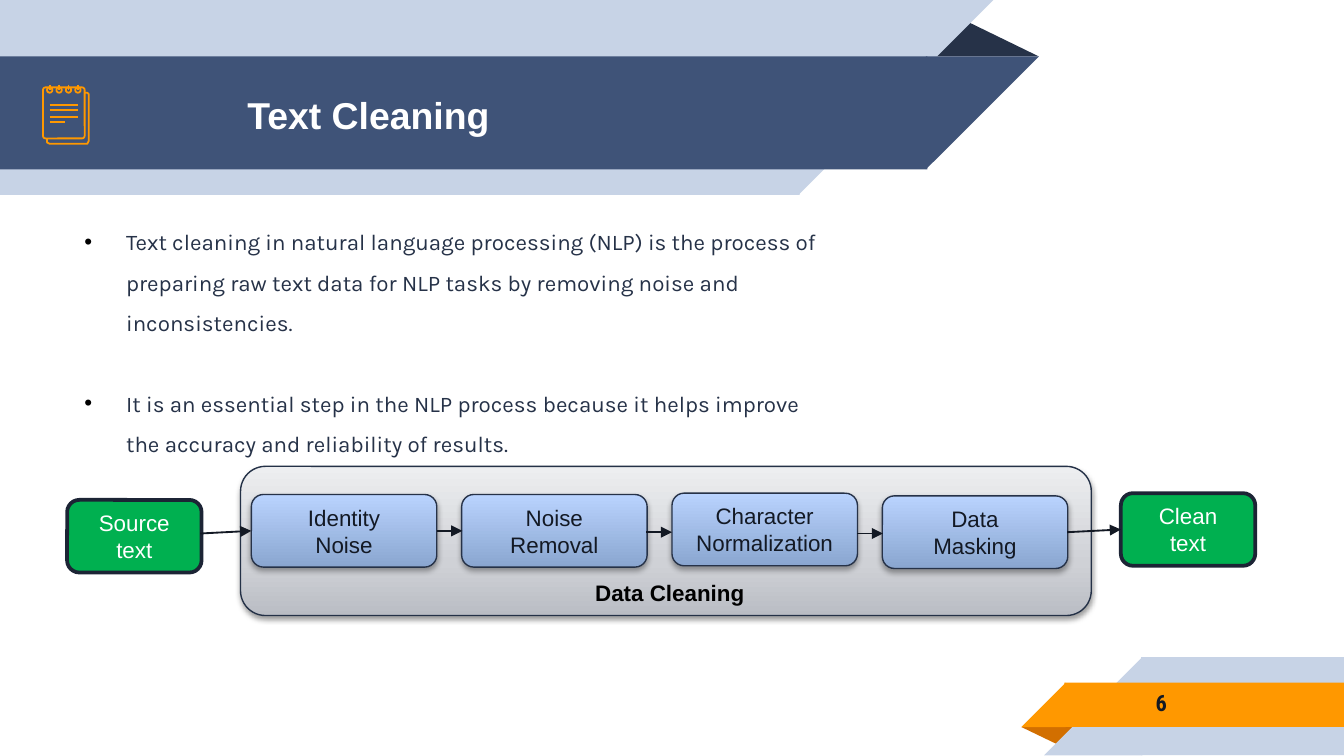
from dataclasses import dataclass

from lxml.etree import SubElement
from pptx import Presentation
from pptx.dml.color import RGBColor
from pptx.enum.shapes import MSO_CONNECTOR as Connector, MSO_SHAPE as Shape
from pptx.enum.text import MSO_ANCHOR as Anchor, PP_ALIGN as Align
from pptx.oxml.ns import qn
from pptx.util import Inches, Pt


@dataclass(frozen=True)
class Theme:
    navy: str = "3F5378"
    ink: str = "263248"
    dark: str = "131924"
    pale: str = "C7D3E6"
    orange: str = "FF9800"
    rust: str = "D26F00"
    green: str = "00B050"
    green_edge: str = "1C2435"
    panel_edge: str = "243147"
    white: str = "FFFFFF"
    black: str = "000000"
    panel_stops: tuple = ((0, "BABDC4"), (35, "CFD1D6"), (100, "EDEEF0"))
    step_stops: tuple = ((0, "8AA6D0"), (100, "B9D3FE"))
    title_size: int = 20
    text_size: int = 12
    icon_line: float = 0.96
    font: str = "Arial"
    body_font: str = "Karla"
    number_font: str = "Roboto Condensed"


THEME = Theme()
SEAM = 0.01


def rgb(color):
    return RGBColor.from_string(color)


def write(shape, lines, *, color, size=THEME.text_size, font=THEME.font, bold=False,
          align=Align.LEFT, anchor=Anchor.TOP, left_inset=0.1, wrap=True):
    """Fill a shape with one paragraph per line and return the paragraphs."""
    frame = shape.text_frame
    frame.word_wrap = wrap
    frame.vertical_anchor = anchor
    frame.margin_left = Inches(left_inset)
    for index, line in enumerate(lines):
        para = frame.add_paragraph() if index else frame.paragraphs[0]
        para.alignment = align
        span = para.add_run()
        span.text = line
        span.font.name, span.font.size, span.font.bold = font, Pt(size), bold
        span.font.color.rgb = rgb(color)
    return frame.paragraphs


def add_text(page, at, lines, **style):
    box = page.shapes.add_textbox(*map(Inches, at))
    return write(box, lines, **style)


def set_line(shape, color, width):
    shape.line.color.rgb = rgb(color)
    shape.line.width = Pt(width)


def add_shape(page, kind, at, fill=None, line=None, width=0.75):
    shape = page.shapes.add_shape(kind, *map(Inches, at))
    shape.shadow.inherit = False
    if fill:
        shape.fill.solid()
        shape.fill.fore_color.rgb = rgb(fill)
    else:
        shape.fill.background()
    if line:
        set_line(shape, line, width)
    else:
        shape.line.fill.background()
    return shape


def add_raised_box(page, at, stops, line, opacity, distance):
    """Rounded box with an upward gradient and a soft shadow below."""
    box = add_shape(page, Shape.ROUNDED_RECTANGLE, at, line=line)
    box.fill.gradient()
    box.fill.gradient_angle = 90
    properties = box._element.spPr
    stop_list = properties.find(qn("a:gradFill")).find(qn("a:gsLst"))
    for old in list(stop_list):
        stop_list.remove(old)
    for position, color in stops:
        stop = SubElement(stop_list, qn("a:gs"), pos=str(position * 1000))
        SubElement(stop, qn("a:srgbClr"), val=color)
    shadow = SubElement(properties.find(qn("a:effectLst")), qn("a:outerShdw"),
                        blurRad=str(Pt(3.1)), dist=str(Pt(distance)),
                        dir="5400000", rotWithShape="0")
    color = SubElement(shadow, qn("a:srgbClr"), val=THEME.black)
    SubElement(color, qn("a:alpha"), val=str(opacity * 1000))
    return box


def add_line(page, start, end, color, width, arrow=False):
    line = page.shapes.add_connector(Connector.STRAIGHT, *map(Inches, start + end))
    set_line(line, color, width)
    if arrow:
        SubElement(line.line._get_or_add_ln(), qn("a:tailEnd"), type="triangle")
    SubElement(line._element.spPr, qn("a:effectLst"))


def add_band(page, left, top, width, height, color, header):
    """Band with a slanted end: at the right in the header, at the left in the footer."""
    bar_left, slant_left = (left, left + width) if header else (left + height - SEAM, left)
    add_shape(page, Shape.RECTANGLE, (bar_left, top, width + SEAM, height), color)
    slant = add_shape(page, Shape.RIGHT_TRIANGLE, (slant_left, top, height, height), color)
    slant._element.spPr.xfrm.set("flipH", "1")
    if header:
        slant.rotation = 180


def add_fold(page, at, color, rotation=0):
    fold = add_shape(page, Shape.ISOSCELES_TRIANGLE, at, color)
    fold.adjustments[0] = 0.324
    fold.rotation = rotation


def add_ribbons(page):
    add_fold(page, (6.88, 0.14, 0.85, 0.28), THEME.ink)
    add_band(page, 0, 0, 5.94, 1.45, THEME.pale, header=True)
    add_band(page, 0, 0.42, 6.89, 0.84, THEME.navy, header=True)
    add_fold(page, (7.6, 5.41, 0.43, 0.14), THEME.rust, rotation=180)
    add_band(page, 7.77, 4.89, 1.5, 0.73, THEME.pale, header=False)
    add_band(page, 7.6, 5.08, 2.07, 0.33, THEME.orange, header=False)


def add_notepad(page):
    pen = (THEME.orange, THEME.icon_line)
    corners = [(0.35, 1.03), (0.35, 1.06), (0.37, 1.07), (0.65, 1.07),
               (0.66, 1.05), (0.66, 0.7), (0.65, 0.69), (0.63, 0.69)]
    points = [(Inches(x), Inches(y)) for x, y in corners]
    builder = page.shapes.build_freeform(*points[0])
    builder.add_line_segments(points[1:], close=False)
    back = builder.convert_to_shape()
    back.shadow.inherit = False
    back.fill.background()
    set_line(back, *pen)
    front = add_shape(page, Shape.ROUNDED_RECTANGLE, (0.32, 0.65, 0.31, 0.38), None, *pen)
    front.adjustments[0] = 0.06
    for index in range(4):
        x = 0.37 + 0.07 * index
        add_shape(page, Shape.OVAL, (x - 0.02, 0.65, 0.04, 0.04), None, *pen)
        add_line(page, (x, 0.63), (x, 0.67), *pen)
    for y, right in ((0.78, 0.58), (0.82, 0.58), (0.87, 0.58), (0.91, 0.48)):
        add_line(page, (0.37, y), (right, y), *pen)


def add_bullets(page, at, lines):
    for index, para in enumerate(add_text(page, at, lines, color=THEME.ink,
                                          font=THEME.body_font)):
        para.line_spacing = 1.5
        para.space_before = Pt(21.6 if index else 0)
        properties = para._p.get_or_add_pPr()
        properties.set("marL", str(Inches(0.31)))
        properties.set("indent", str(-Inches(0.31)))
        color = SubElement(properties, qn("a:buClr"))
        SubElement(color, qn("a:srgbClr"), val=THEME.black)
        SubElement(properties, qn("a:buFont"), typeface=THEME.font)
        SubElement(properties, qn("a:buChar"), char="•")


def add_pipeline(page):
    centered = dict(align=Align.CENTER, anchor=Anchor.MIDDLE)
    for left, top, word in ((0.5, 3.72, "Source"), (8.34, 3.67, "Clean")):
        end = add_shape(page, Shape.ROUNDED_RECTANGLE, (left, top, 1, 0.54),
                        THEME.green, THEME.green_edge, 2)
        write(end, (word, "text"), color=THEME.white, **centered)

    add_raised_box(page, (1.79, 3.47, 6.33, 1.11), THEME.panel_stops,
                   THEME.panel_edge, opacity=38, distance=1.6)
    steps = ((3.68, "Identity", "Noise"), (3.68, "Noise", "Removal"),
             (3.67, "Character", "Normalization"), (3.69, "Data", "Masking"))
    for index, (top, *words) in enumerate(steps):
        step = add_raised_box(page, (1.87 + 1.565 * index, top, 1.38, 0.54),
                              THEME.step_stops, THEME.ink, opacity=35, distance=1.8)
        write(step, words, color=THEME.dark, **centered)
    add_text(page, (4.33, 4.26, 1.52, 0.3), ["Data Cleaning"], color=THEME.black, bold=True)

    arrows = ((1.49, 3.97, 1.87, 3.95), (3.25, 3.95, 3.44, 3.95), (4.81, 3.96, 5, 3.96),
              (6.38, 3.97, 6.57, 3.97), (7.94, 3.96, 8.34, 3.94))
    for arrow in arrows:
        add_line(page, arrow[:2], arrow[2:], THEME.dark, 1, arrow=True)


def main():
    deck = Presentation()
    deck.slide_width, deck.slide_height = Inches(10), Inches(10 * 9 / 16)
    page = deck.slides.add_slide(deck.slide_layouts[6])
    add_ribbons(page)
    add_text(page, (0.89, 0.43, 5.75, 0.84), ["Text Cleaning"], color=THEME.white,
             size=THEME.title_size, bold=True, anchor=Anchor.MIDDLE, left_inset=0.95)
    add_text(page, (8.13, 5.05, 0.65, 0.35), ["6"], color=THEME.dark, bold=True,
             font=THEME.number_font, align=Align.RIGHT, anchor=Anchor.MIDDLE)
    add_notepad(page)
    add_bullets(page, (0.53, 1.55, 5.75, 1.59), (
        "Text cleaning in natural language processing (NLP) is the process of preparing "
        "raw text data for NLP tasks by removing noise and inconsistencies.",
        "It is an essential step in the NLP process because it helps improve the accuracy "
        "and reliability of results."))
    add_pipeline(page)
    deck.save("out.pptx")


if __name__ == "__main__":
    main()
